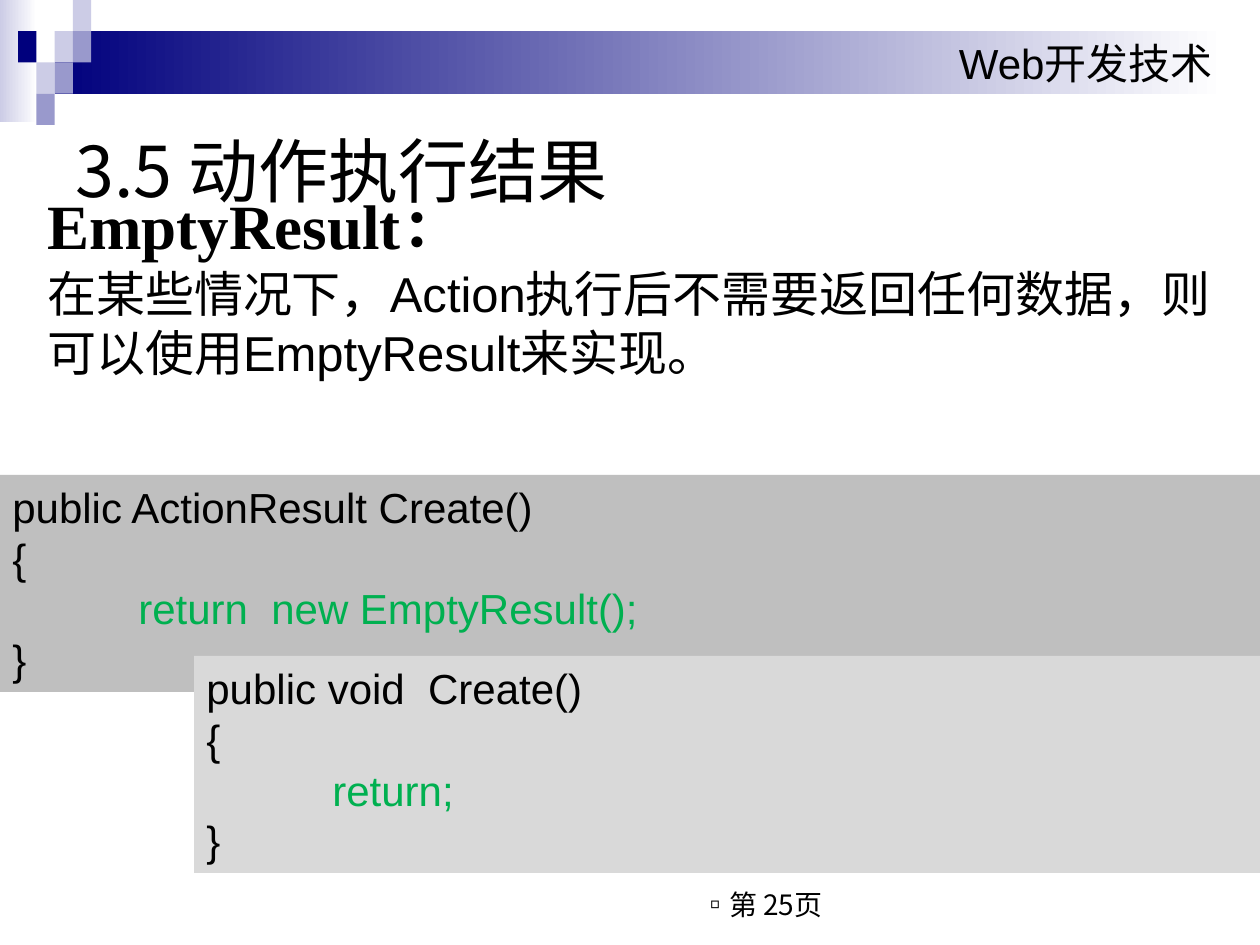
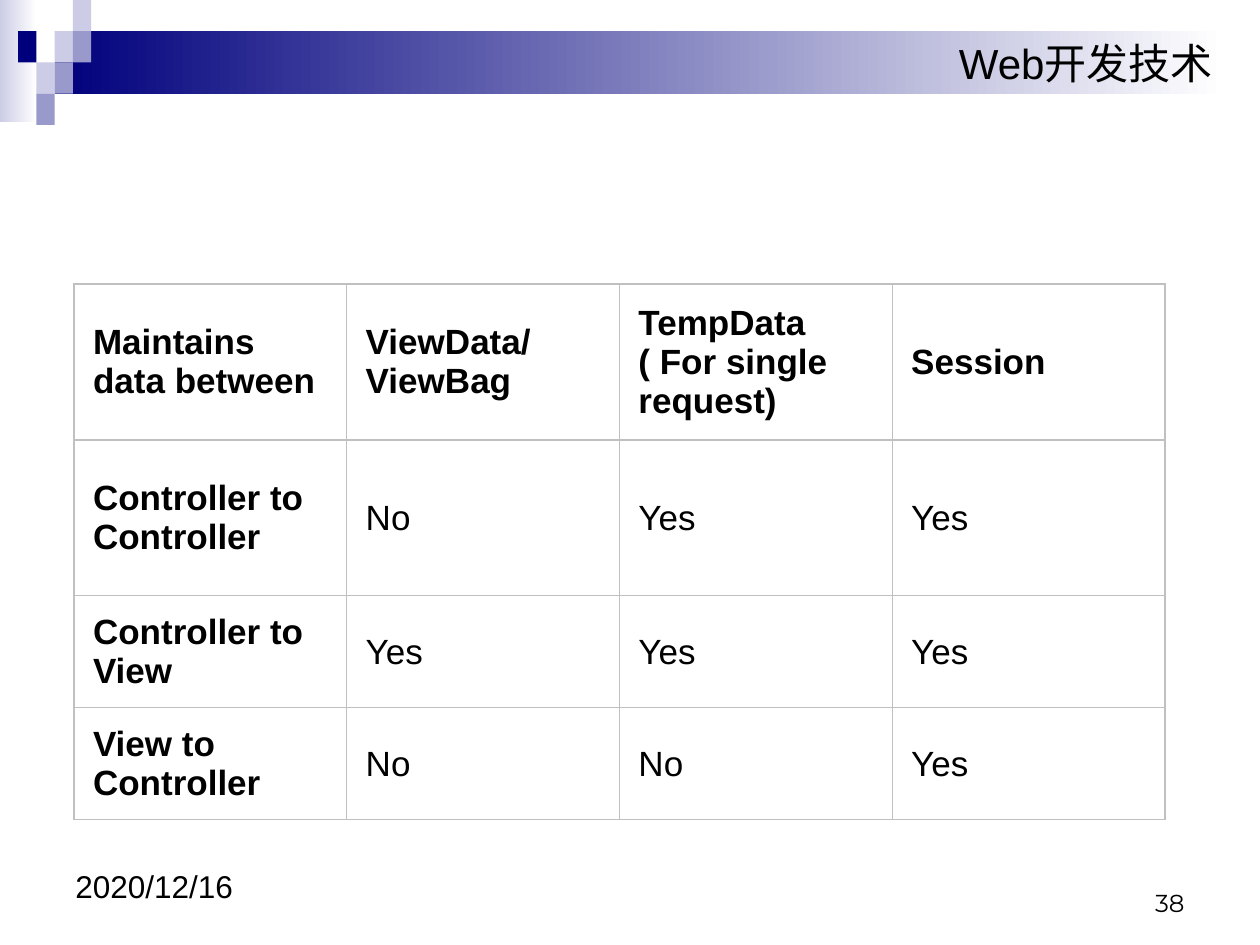
import pptx
import pptx.util
import pptx.dml.color
import pptx.enum.shapes
import pptx.enum.text
import pptx.oxml.ns
import lxml.etree

SCALE = 914400 / 126  # EMU per pixel
WIDE, HIGH = 1260, 945
INK = {
    "black": "000000", "white": "FFFFFF", "navy": "00007D",
    "mid": "9999CC", "light": "CCCCE6", "green": "00B050",
    "gray": "BFBFBF", "pale": "D9D9D9", "rule": "C0C0C0",
}
SANS, CJK, SERIF, ROUND = "Arial", "Noto Sans CJK SC", "Times New Roman", "Montserrat"
LEAD = 1.21  # line height of running text, in font sizes
ALIGN = pptx.enum.text.PP_ALIGN
ANCHOR = pptx.enum.text.MSO_ANCHOR


def px(num):
    return pptx.util.Emu(round(num * SCALE))


def rgb(name):
    return pptx.dml.color.RGBColor.from_string(INK[name])


def sub(node, tag, **attrs):
    return lxml.etree.SubElement(node, pptx.oxml.ns.qn(tag), attrs)


def write(frame, text, size=24, font=SANS, color="black", bold=False,
          align=ALIGN.LEFT, anchor=ANCHOR.TOP, lead=None, tab=None):
    """Add one paragraph, filling the empty first one if there is one."""
    frame.word_wrap = True
    frame.vertical_anchor = anchor
    para = frame.paragraphs[-1]
    if para.runs:
        para = frame.add_paragraph()
    para.alignment = align
    if lead:
        para.line_spacing = pptx.util.Pt(round(size * lead, 1))
    if tab:
        stops = sub(para._p.get_or_add_pPr(), "a:tabLst")
        sub(stops, "a:tab", pos=str(px(tab)), algn="l")
    run = para.add_run()
    run.text = text
    run.font.size = pptx.util.Pt(size)
    run.font.bold = bold
    run.font.color.rgb = rgb(color)
    run.font.name = font
    sub(run.font._element, "a:ea", typeface=font)


def rect(slide, box, fill, fade=False):
    shape = slide.shapes.add_shape(
        pptx.enum.shapes.MSO_SHAPE.RECTANGLE, *map(px, box))
    shape.shadow.inherit = False
    shape.line.fill.background()
    if fade:
        shape.fill.gradient()
        shape.fill.gradient_angle = 0
        stops = zip(shape.fill.gradient_stops, (fill, "white"), (0, 1))
        for stop, name, place in stops:
            stop.color.rgb = rgb(name)
            stop.position = place
    else:
        shape.fill.solid()
        shape.fill.fore_color.rgb = rgb(fill)
    return shape


def label(slide, box, text, **form):
    shape = slide.shapes.add_textbox(*map(px, box))
    write(shape.text_frame, text, **form)
    return shape.text_frame


def header(slide, master):
    """Draw the band and its tiles, then hand them to the master."""
    side = rect(slide, (0, 0, 37, 122), "light", fade=True)
    band = rect(slide, (55, 31, 1170, 63), "navy", fade=True)
    write(band.text_frame, "Web开发技术", align=ALIGN.RIGHT, anchor=ANCHOR.MIDDLE)
    parts = [side, band]
    wide, high = 18.3, 31.2
    tiles = [(2, 1, "light"), (3, 0, "light"), (3, 1, "mid"), (1, 2, "light"),
             (0, 1, "navy"), (2, 2, "mid"), (1, 3, "mid")]
    for col, row, fill in tiles:
        box = (18 + col * wide, row * high, wide, high)
        parts.append(rect(slide, box, fill))
    tree = master.shapes.element
    for num, part in enumerate(parts):
        part.element.nvSpPr.cNvPr.set("id", str(100 + num))
        tree.insert(2 + num, part.element)


def code(slide, box, fill, lines):
    """A filled panel of code; indented lines are green."""
    frame = rect(slide, box, fill).text_frame
    for line in lines:
        deep = line.startswith("\t")
        write(frame, line, color="green" if deep else "black", lead=LEAD,
              tab=126 if deep else None)


def result(slide):
    # Title and explanation
    title = slide.shapes.title
    title.left, title.top, title.width, title.height = map(px, (63, 125, 1134, 89))
    write(title.text_frame, "3.5 动作执行结果", size=40, font=CJK, anchor=ANCHOR.MIDDLE)
    frame = label(slide, (35, 180, 1225, 208), "EmptyResult：",
                  size=36, font=SERIF, bold=True, lead=LEAD)
    write(frame, "在某些情况下，Action执行后不需要返回任何数据，则可以使用EmptyResult来实现。",
          size=28, lead=LEAD)
    # Page mark
    label(slide, (689, 881, 556, 40), "▫第 25页", size=16, font=CJK)
    # Code panels
    code(slide, (0, 475, WIDE, 217), "gray",
         ["public ActionResult Create()", "{", "\treturn  new EmptyResult();", "}"])
    code(slide, (194, 656, WIDE - 194, 217), "pale",
         ["public void  Create()", "{", "\treturn;", "}"])


def border(cell):
    props = cell._tc.get_or_add_tcPr()
    for num, side in enumerate(("a:lnL", "a:lnR", "a:lnT", "a:lnB")):
        line = sub(props, side, w=str(pptx.util.Pt(0.75)))
        sub(sub(line, "a:solidFill"), "a:srgbClr", val=INK["rule"])
        props.insert(num, line)


def grid(slide, spot, wide, rows, highs):
    cols = len(rows[0])
    table = slide.shapes.add_table(
        len(rows), cols, *map(px, (*spot, wide, sum(highs)))).table
    table.first_row = table.horz_banding = False
    for col in table.columns:
        col.width = px(wide / cols)
    for r, (row, high) in enumerate(zip(rows, highs)):
        table.rows[r].height = px(high)
        for c, text in enumerate(row):
            cell = table.cell(r, c)
            cell.margin_left = cell.margin_right = px(19)
            cell.margin_top = cell.margin_bottom = px(10)
            cell.fill.solid()
            cell.fill.fore_color.rgb = rgb("white")
            border(cell)
            write(cell.text_frame, text, size=20, bold=r == 0 or c == 0)
            cell.vertical_anchor = ANCHOR.MIDDLE


def compare(slide):
    # Table of lifetimes
    rows = [
        ("Maintains data between", "ViewData/ViewBag",
         "TempData ( For single request)", "Session"),
        ("Controller to Controller", "No", "Yes", "Yes"),
        ("Controller to View", "Yes", "Yes", "Yes"),
        ("View to Controller", "No", "No", "Yes"),
    ]
    grid(slide, (74, 284), 1091, rows, (156, 156, 112, 112))
    # Footer
    label(slide, (903, 861, 294, 63), "38", size=14, font=ROUND,
          align=ALIGN.RIGHT, anchor=ANCHOR.BOTTOM)
    label(slide, (63, 861, 294, 65), "2020/12/16", size=18)


deck = pptx.Presentation()
deck.slide_width, deck.slide_height = px(WIDE), px(HIGH)
first = deck.slides.add_slide(deck.slide_layouts[5])
header(first, deck.slide_master)
result(first)
compare(deck.slides.add_slide(deck.slide_layouts[6]))
deck.save("out.pptx")
